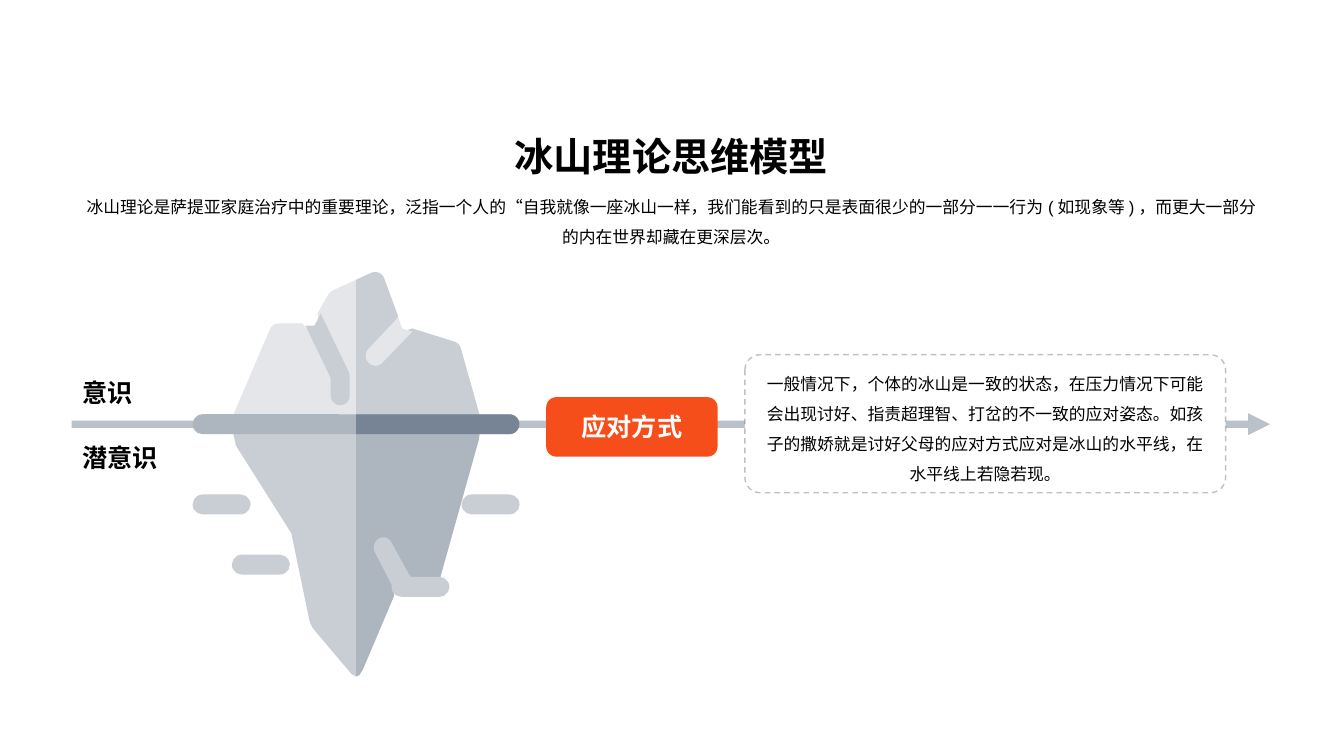
from math import dist

from lxml.etree import SubElement
from pptx import Presentation
from pptx.dml.color import RGBColor
from pptx.enum.dml import MSO_LINE
from pptx.enum.shapes import MSO_CONNECTOR, MSO_SHAPE
from pptx.enum.text import MSO_ANCHOR, PP_ALIGN
from pptx.oxml.ns import qn
from pptx.util import Pt

BLACK = RGBColor(0x00, 0x00, 0x00)
WHITE = RGBColor(0xFF, 0xFF, 0xFF)
ORANGE = RGBColor(0xF5, 0x4E, 0x1A)
SLATE = RGBColor(0x77, 0x84, 0x95)
STEEL = RGBColor(0xAD, 0xB5, 0xBF)
MIST = RGBColor(0xC9, 0xCE, 0xD5)
ICE = RGBColor(0xE4, 0xE6, 0xEA)

AXIS, WATER = 254.4, 303
PILL_HEIGHT = 14.2

# Outline points are (x, y) or (x, y, corner radius).
TOP_LEFT = [(165.6, 298.8), (194.6, 231.1, 4), (216, 231.1), (234, 251.3),
            (226.8, 223.9), (235.7, 208.4, 3)]
TOP_RIGHT = [(AXIS, 199.9), (271.8, 191.9, 7.5), (284.4, 226.1), (272.9, 241.9),
             (294.5, 234.7), (328.1, 245.2, 3.5), (343.2, 298.8)]
BASE_RIGHT = [(343.2, 304.6), (342, 313.9), (312.8, 418.3, 5), (298.1, 418.3),
              (277.2, 391), (281.5, 425.5), (259.2, 478.1), (256.6, 482.2),
              (AXIS, 483.1)]
BASE_LEFT = [(251.3, 481.7), (221.8, 446.8, 4), (208.1, 380.9), (168.5, 318.2),
             (165.6, 304.6)]
RIGHT_CRACK = [(284.4, 226.8), (287.3, 234.7), (294.5, 236.9),
               (268.2, 264.2, 6.8), (258.5, 254.2, 6.8)]
LEFT_CRACK = [(236.2, 289.4, 6.8), (249.8, 289.4, 6.8), (249.8, 267.1, 2),
              (229, 223.9), (224.6, 232.6), (218.2, 232.6), (236.2, 270)]
BASE_CRACK = [(264.7, 388.4, 6.8), (276.2, 381.2, 6.8), (297.4, 419.8),
              (283.7, 416.2), (280.1, 418.3)]
PILLS = [(137.6, 353.2), (165.6, 396.2), (279.6, 412.1), (329.7, 353.2)]


def toward(start, end, share):
    """Return the point at a share of the way from start to end."""
    return tuple(a + (b - a) * share for a, b in zip(start[:2], end[:2]))


def rounded(points, steps=8):
    """Replace each corner that has a radius by points on a curve."""
    outline = []
    for index, corner in enumerate(points):
        if len(corner) == 2:
            outline.append(corner)
            continue
        spot, radius = corner[:2], corner[2]
        before, after = points[index - 1][:2], points[(index + 1) % len(points)][:2]
        start = toward(spot, before, radius / dist(spot, before))
        end = toward(spot, after, radius / dist(spot, after))
        pull_in, pull_out = toward(start, spot, 0.55), toward(end, spot, 0.55)
        for step in range(steps + 1):
            t = step / steps
            weights = (1 - t) ** 3, 3 * t * (1 - t) ** 2, 3 * t * t * (1 - t), t ** 3
            outline.append(tuple(
                sum(w * p for w, p in zip(weights, values))
                for values in zip(start, pull_in, pull_out, end)))
    return outline


def write(frame, text, size=12, bold=False, color=BLACK, font="Arial",
          align=PP_ALIGN.CENTER, anchor=MSO_ANCHOR.TOP, spacing=None):
    """Fill a text frame with one formatted paragraph."""
    frame.word_wrap = True
    frame.vertical_anchor = anchor
    para = frame.paragraphs[0]
    para.alignment = align
    para.line_spacing = spacing
    span = para.add_run()
    span.text = text
    span.font.name, span.font.size, span.font.bold = font, Pt(size), bold
    span.font.color.rgb = color


class Painter:
    """Hold the line style and the current page."""

    line_color, line_alpha = SLATE, 50

    def __init__(self, page):
        """Keep the page to draw on."""
        self.shapes = page.shapes

    def stroke(self, line, width):
        """Give a line the half-transparent style."""
        line.color.rgb = self.line_color
        line.width = Pt(width)
        color = line.fill._xPr.find(qn("a:solidFill"))[0]
        SubElement(color, qn("a:alpha"), val=str(self.line_alpha * 1000))

    def paint(self, shape, color):
        """Give a shape a plain fill, no line and no shadow."""
        shape.shadow.inherit = False
        shape.fill.solid()
        shape.fill.fore_color.rgb = color
        shape.line.fill.background()
        return shape

    def text(self, left, top, width, height, text, **style):
        """Add a text box."""
        box = self.shapes.add_textbox(Pt(left), Pt(top), Pt(width), Pt(height))
        write(box.text_frame, text, **style)

    def outline(self, points, color):
        """Add a closed outline with optional rounded corners."""
        first, *rest = [(Pt(x), Pt(y)) for x, y in rounded(points)]
        builder = self.shapes.build_freeform(*first)
        builder.add_line_segments(rest, close=True)
        self.paint(builder.convert_to_shape(), color)

    def card(self, left, top, width, height, color, corner):
        """Add a rounded rectangle."""
        card = self.shapes.add_shape(MSO_SHAPE.ROUNDED_RECTANGLE,
                                     Pt(left), Pt(top), Pt(width), Pt(height))
        card.adjustments[0] = corner
        return self.paint(card, color)

    def arrow(self, left, right, height, width):
        """Add a horizontal arrow."""
        arrow = self.shapes.add_connector(
            MSO_CONNECTOR.STRAIGHT, Pt(left), Pt(height), Pt(right), Pt(height))
        self.stroke(arrow.line, width)
        SubElement(arrow.line._get_or_add_ln(), qn("a:tailEnd"), type="triangle")
        SubElement(arrow._element.spPr, qn("a:effectLst"))


def draw_iceberg(painter):
    """Draw the iceberg, its cracks, the waves and the waterline."""
    painter.outline(TOP_LEFT + TOP_RIGHT, ICE)
    painter.outline(TOP_RIGHT + [(AXIS, 298.8)], MIST)
    painter.outline(BASE_RIGHT + BASE_LEFT, MIST)
    painter.outline(BASE_RIGHT + [(AXIS, 304.6)], STEEL)
    for left, top in PILLS:
        painter.card(left, top, 41.4, PILL_HEIGHT, MIST, 0.5)
    painter.outline(RIGHT_CRACK, ICE)
    painter.outline(LEFT_CRACK, MIST)
    painter.outline(BASE_CRACK, MIST)
    radius, right = PILL_HEIGHT / 2, 371
    top, bottom = WATER - radius, WATER + radius
    painter.card(137.6, top, right - 137.6, PILL_HEIGHT, STEEL, 0.5)
    painter.outline([(AXIS, top), (right, top, radius),
                     (right, bottom, radius), (AXIS, bottom)], SLATE)


def main():
    """Build and save the deck."""
    deck = Presentation()
    deck.slide_width, deck.slide_height = Pt(960), Pt(540)
    painter = Painter(deck.slides.add_slide(deck.slide_layouts[6]))

    painter.text(51.8, 89.3, 855.4, 42.5, "冰山理论思维模型", size=28, bold=True,
                 anchor=MSO_ANCHOR.BOTTOM)
    painter.text(51.8, 129.6, 855.4, 50.4,
                 "冰山理论是萨提亚家庭治疗中的重要理论，泛指一个人的“自我就像一座冰山一样，"
                 "我们能看到的只是表面很少的一部分一一行为(如现象等)，"
                 "而更大一部分的内在世界却藏在更深层次。", spacing=1.5)
    painter.arrow(51.1, 907.2, WATER, 5.25)
    draw_iceberg(painter)

    for top, label, anchor in ((257, "意识", MSO_ANCHOR.BOTTOM),
                               (312.5, "潜意识", MSO_ANCHOR.TOP)):
        painter.text(51.8, top, 85.7, 37.4, label, size=18, bold=True,
                     align=PP_ALIGN.LEFT, anchor=anchor)

    button = painter.card(390.2, 283.7, 122.4, 42.5, ORANGE, 0.17)
    frame = button.text_frame
    frame.margin_left = frame.margin_right = Pt(5.8)
    frame.margin_top = frame.margin_bottom = 0
    write(frame, "应对方式", size=18, bold=True, color=WHITE, anchor=MSO_ANCHOR.MIDDLE)

    note = painter.card(532.1, 253.4, 343.4, 98.6, WHITE, 0.11)
    painter.stroke(note.line, 1)
    note.line.dash_style = MSO_LINE.DASH
    write(note.text_frame,
          "一般情况下，个体的冰山是一致的状态，在压力情况下可能会出现讨好、指责超理智、"
          "打岔的不一致的应对姿态。如孩子的撒娇就是讨好父母的应对方式应对是冰山的水平线，"
          "在水平线上若隐若现。", anchor=MSO_ANCHOR.MIDDLE, spacing=1.5)
    deck.save("out.pptx")


main()
